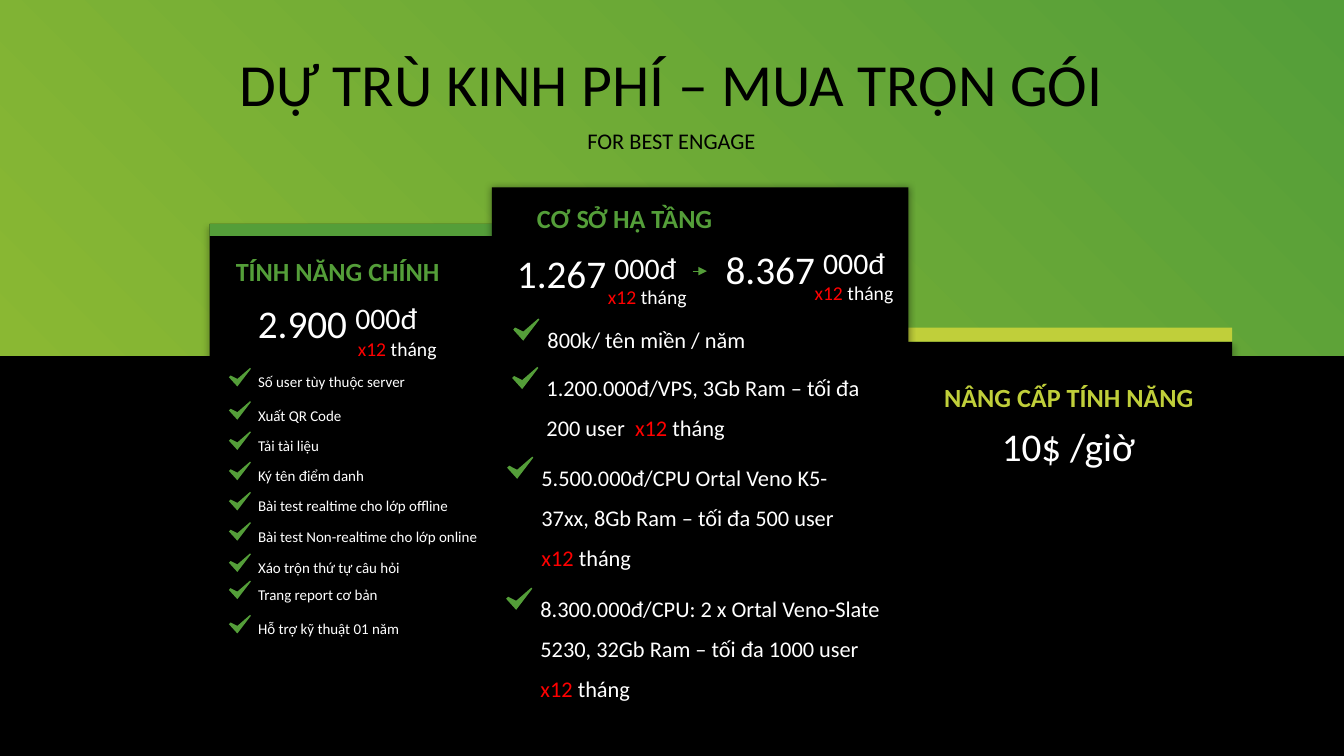
from dataclasses import dataclass

from lxml import etree
from pptx import Presentation
from pptx.dml.color import RGBColor
from pptx.enum.shapes import MSO_CONNECTOR, MSO_SHAPE
from pptx.enum.text import MSO_ANCHOR, MSO_AUTO_SIZE, PP_ALIGN
from pptx.oxml import parse_xml
from pptx.oxml.ns import nsdecls, qn
from pptx.util import Inches, Pt

BLACK = RGBColor(0x00, 0x00, 0x00)
WHITE = RGBColor(0xFF, 0xFF, 0xFF)
RED = RGBColor(0xFF, 0x00, 0x00)
GREEN = RGBColor(0x54, 0x9E, 0x39)
LEAF = RGBColor(0x8A, 0xB8, 0x33)
LIME = RGBColor(0xC0, 0xCF, 0x3A)
RECTANGLE = MSO_SHAPE.RECTANGLE
STRAIGHT = MSO_CONNECTOR.STRAIGHT
LEFT, CENTER = PP_ALIGN.LEFT, PP_ALIGN.CENTER
TOP, MIDDLE = MSO_ANCHOR.TOP, MSO_ANCHOR.MIDDLE
GROW = MSO_AUTO_SIZE.SHAPE_TO_FIT_TEXT
FONT = "Calibri"
TERM = (("x12 ", RED), ("tháng", WHITE))
# Check mark outline, in hundredths of an inch at full size
CHECK = [(25, 0), (26, 1), (10, 22), (0, 11), (2, 9), (10, 13)]


@dataclass
class Shadow:
    alpha: int
    blur: float
    distance: float
    angle: int


@dataclass
class Block:
    x: float
    y: float
    w: float
    h: float
    color: RGBColor
    shadow: Shadow | None = None


@dataclass
class Label:
    text: str
    x: float
    y: float
    w: float
    h: float
    size: float
    color: RGBColor
    bold: bool = False


@dataclass
class Price:
    amount: str
    x: float
    y: float
    term_dx: float
    term_dy: float


@dataclass
class Feature:
    text: str
    y: float


@dataclass
class Server:
    text: str
    x: float
    y: float
    w: float
    h: float
    monthly: bool = True


BLOCKS = [
    Block(2.08, 2.22, 2.84, 4.55, BLACK, Shadow(20, 4, 3, 135)),
    Block(8.84, 3.39, 3.38, 1.98, BLACK, Shadow(20, 4, 3, 45)),
    Block(8.84, 3.25, 3.38, 0.14, LIME),
    Block(2.08, 2.22, 2.84, 0.12, GREEN),
    Block(4.88, 1.86, 4.13, 5.27, BLACK, Shadow(40, 5, 0, 0)),
]
LABELS = [
    Label("TÍNH NĂNG CHÍNH", 2.07, 2.48, 2.56, 0.42, 18.7, GREEN, True),
    Label("CƠ SỞ HẠ TẦNG", 5.02, 1.95, 2.35, 0.42, 18.7, GREEN, True),
    Label("NÂNG CẤP TÍNH NĂNG", 9.04, 3.73, 3.12, 0.42, 18.7, LIME, True),
    Label("10$ /giờ", 8.99, 4.14, 3.21, 0.57, 28, WHITE),
]
PRICES = [
    Price("2.900", 2.34, 2.92, 1.03, 0.37),
    Price("1.267", 4.91, 2.42, 0.94, 0.35),
    Price("8.367", 6.98, 2.38, 0.92, 0.35),
]
FEATURES = [
    Feature("Số user tùy thuộc server", 3.61),
    Feature("Xuất QR Code", 3.94),
    Feature("Tải tài liệu", 4.24),
    Feature("Ký tên điểm danh", 4.54),
    Feature("Bài test realtime cho lớp offline", 4.84),
    Feature("Bài test Non-realtime cho lớp online", 5.14),
    Feature("Xáo trộn thứ tự câu hỏi", 5.45),
    Feature("Trang report cơ bản", 5.72),
    Feature("Hỗ trợ kỹ thuật 01 năm", 6.06),
]
SERVERS = [
    Server("800k/ tên miền / năm", 5.43, 3.1, 2.48, 0.35, False),
    Server("1.200.000đ/VPS, 3Gb Ram – tối đa 200 user  ", 5.42, 3.58, 3.18, 0.76),
    Server("5.500.000đ/CPU Ortal Veno K5-37xx, 8Gb Ram – tối đa 500 user  ",
           5.37, 4.47, 3.18, 1.16),
    Server("8.300.000đ/CPU: 2 x Ortal Veno-Slate 5230, 32Gb Ram – tối đa 1000 user ",
           5.36, 5.77, 3.48, 1.16),
]


def add_block(s, block: Block):
    sp = s.shapes.add_shape(RECTANGLE, Inches(block.x), Inches(block.y),
                            Inches(block.w), Inches(block.h))
    sp.shadow.inherit = False
    sp.line.fill.background()
    sp.fill.solid()
    sp.fill.fore_color.rgb = block.color
    if block.shadow:
        sh = block.shadow
        effects = sp._element.spPr.find(qn("a:effectLst"))
        effects.append(parse_xml(
            f'<a:outerShdw {nsdecls("a")} blurRad="{Pt(sh.blur)}" dist="{Pt(sh.distance)}" '
            f'dir="{sh.angle * 60000}" algn="ctr" rotWithShape="0"><a:srgbClr val="{BLACK}">'
            f'<a:alpha val="{sh.alpha * 1000}"/></a:srgbClr></a:outerShdw>'))
    return sp


def add_text(s, runs, x: float, y: float, w: float, h: float, size: float, *,
             align=CENTER, anchor=MIDDLE, inset: bool = True, spacing: float = 1.0,
             bold: bool = False) -> None:
    tf = s.shapes.add_textbox(Inches(x), Inches(y), Inches(w), Inches(h)).text_frame
    tf.word_wrap = True
    tf.vertical_anchor = anchor
    if inset:
        tf.auto_size = GROW
    else:
        tf.margin_left = tf.margin_top = tf.margin_right = tf.margin_bottom = 0
    p = tf.paragraphs[0]
    p.alignment, p.line_spacing = align, spacing
    p.font.name, p.font.size, p.font.bold = FONT, Pt(size), bold
    for text, color in runs:
        r = p.add_run()
        r.text = text
        r.font.color.rgb = color


def add_check(s, x: float, y: float, factor: float) -> None:
    builder = s.shapes.build_freeform(*CHECK[0], scale=Inches(0.01) * factor)
    builder.add_line_segments(CHECK[1:], close=True)
    sp = builder.convert_to_shape(Inches(x), Inches(y))
    sp.shadow.inherit = False
    sp.line.fill.background()
    sp.fill.solid()
    sp.fill.fore_color.rgb = GREEN


def add_price(s, price: Price) -> None:
    x, y = price.x, price.y
    add_text(s, [(price.amount, WHITE)], x, y, 1.32, 0.57, 28)
    add_text(s, [("000đ", WHITE)], x + 0.92, y, 1.14, 0.46, 21.3)
    add_text(s, TERM, x + price.term_dx, y + price.term_dy, 1.14, 0.34, 14)


def main() -> None:
    prs = Presentation()
    prs.slide_width, prs.slide_height = Inches(13.33), Inches(7.5)
    s = prs.slides.add_slide(prs.slide_layouts[6])
    s.background.fill.solid()
    s.background.fill.fore_color.rgb = BLACK

    # Green header band
    band = add_block(s, Block(0, 0, 13.33, 3.53, GREEN))
    band.fill.gradient()
    band.fill.gradient_angle = 225
    for stop, color in zip(band.fill.gradient_stops, (GREEN, LEAF)):
        stop.color.rgb = color

    # Title and subtitle
    add_text(s, [("DỰ TRÙ KINH PHÍ – MUA TRỌN GÓI", BLACK)], 0.56, 0.5, 12.2, 0.72, 42.7,
             inset=False, spacing=0.9)
    add_text(s, [("FOR BEST ENGAGE", BLACK)], 0.56, 1.29, 12.2, 0.25, 16,
             inset=False, spacing=0.9)

    # Panels, headings and prices
    for block in BLOCKS:
        add_block(s, block)
    for lb in LABELS:
        add_text(s, [(lb.text, lb.color)], lb.x, lb.y, lb.w, lb.h, lb.size, bold=lb.bold)
    for price in PRICES:
        add_price(s, price)

    # Checked lists
    for f in FEATURES:
        add_check(s, 2.27, f.y + 0.04, 0.84)
        add_text(s, [(f.text, WHITE)], 2.56, f.y, 2.36, 0.24, 10.7,
                 align=LEFT, anchor=TOP, inset=False, spacing=1.5)
    for sv in SERVERS:
        add_check(s, sv.x - 0.34, sv.y + 0.06, 1)
        term = [("x12", RED), (" tháng", WHITE)] if sv.monthly else []
        add_text(s, [(sv.text, WHITE), *term], sv.x, sv.y, sv.w, sv.h, 16,
                 align=LEFT, anchor=TOP, inset=False, spacing=1.5)

    # Arrow between the two infrastructure prices
    arrow = s.shapes.add_connector(STRAIGHT, Inches(6.87), Inches(2.69),
                                   Inches(7.01), Inches(2.69))
    arrow.line.color.rgb = GREEN
    arrow.line.width = Pt(0.5)
    etree.SubElement(arrow.line._get_or_add_ln(), qn("a:tailEnd"), type="triangle")
    etree.SubElement(arrow._element.spPr, qn("a:effectLst"))

    prs.save("out.pptx")


if __name__ == "__main__":
    main()
